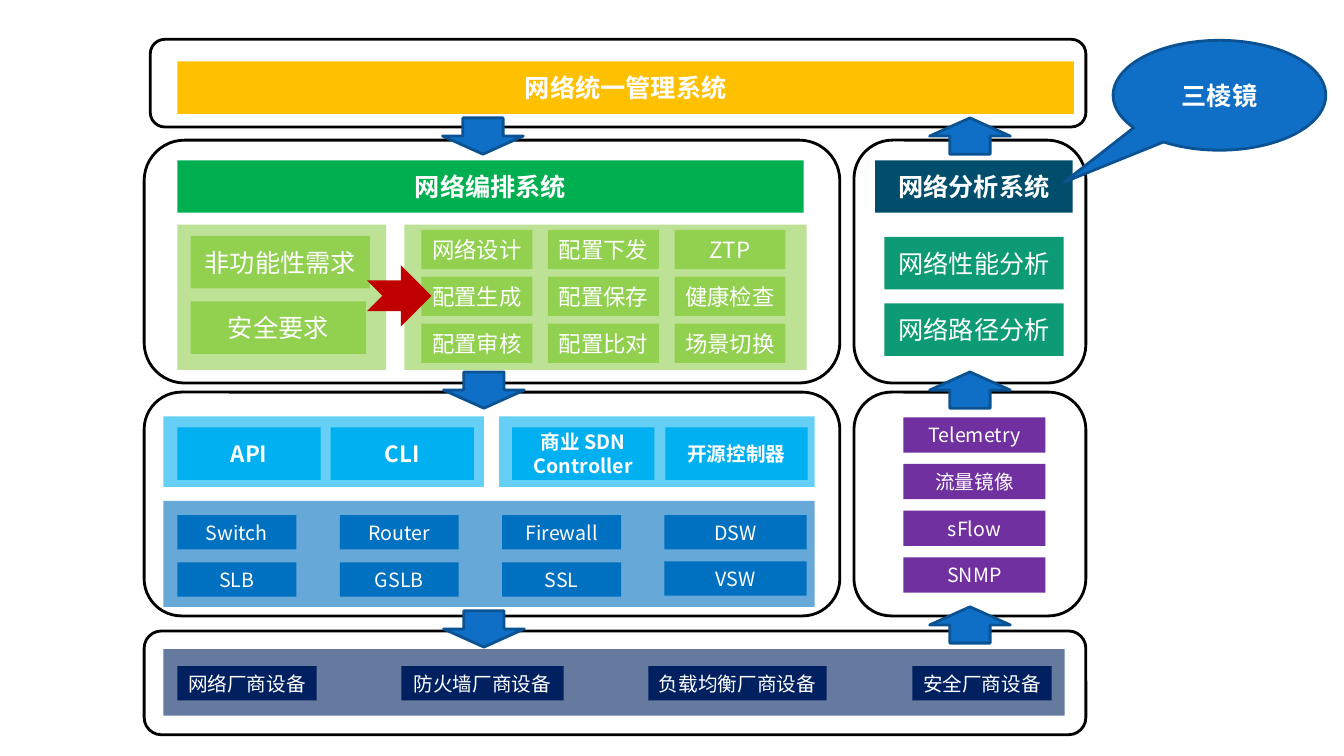
from lxml.etree import SubElement
from pptx import Presentation
from pptx.dml.color import RGBColor
from pptx.enum.shapes import MSO_SHAPE as Preset
from pptx.enum.text import MSO_ANCHOR as Anchor, PP_ALIGN as Align
from pptx.oxml.ns import qn
from pptx.util import Inches, Pt

SLIDE_SIZE = (13.33, 7.5)
UNIT = 0.1  # inches in one grid column or row
FONT = "Noto Sans CJK SC"
WHITE, BLACK = "FFFFFF", "000000"
BLUE, DARK_BLUE = "0F6FC6", "0B5292"

# Every place is (left, top, width, height) in grid units.
PANELS = [
    ((17.6, 22.3, 20.7, 14.4), "92D050"),
    ((40.1, 22.3, 39.9, 14.4), "92D050"),
    ((16.2, 41.3, 31.8, 7), "00B0F0"),
    ((49.5, 41.3, 31.3, 7), "00B0F0"),
    ((16.2, 49.7, 64.6, 10.5), "0070C0"),
    ((16.2, 64.4, 89.4, 6.6), "002060"),
]
FRAMES = [
    (14.9, 3.9, 92.8, 8.7),
    (14.3, 13.9, 69, 24.1),
    (84.7, 13.9, 23, 24.1),
    (14.3, 38.9, 69, 22.2),
    (84.7, 38.9, 23, 22.2),
    (14.3, 62.6, 93.4, 10.3),
]
HEADERS = [
    ("网络统一管理系统", (17.6, 6.1, 88.9, 5.2), "FFC000"),
    ("网络编排系统", (17.6, 15.9, 62.1, 5.2), "00B050"),
    ("网络分析系统", (86.8, 15.9, 19.6, 5.2), "004E6C"),
]
REQUIREMENTS = [
    ("非功能性需求", (18.9, 23.4, 17.8, 5.2)),
    ("安全要求", (18.9, 29.9, 17.4, 5.2)),
]
VENDOR_DEVICES = [
    ("网络厂商设备", 17.6, 13.8),
    ("防火墙厂商设备", 39.8, 16.1),
    ("负载均衡厂商设备", 64.3, 17.7),
    ("安全厂商设备", 90.5, 13.8),
]
# Rows of labels, place of the first cell, (column step, row step), fill, text size, bold
GRIDS = [
    ([["网络设计", "配置下发", "ZTP"],
      ["配置生成", "配置保存", "健康检查"],
      ["配置审核", "配置比对", "场景切换"]],
     (41.8, 22.8, 11, 3.9), (12.55, 4.65), "92D050", 16, False),
    ([["网络性能分析"], ["网络路径分析"]],
     (87.7, 23.5, 17.8, 5.2), (0, 6.6), "0C9B74", 18, False),
    ([["API", "CLI"]],
     (17.6, 42.4, 14.2, 5.2), (15.2, 0), "00B0F0", 16, True),
    ([["商业 SDN Controller", "开源控制器"]],
     (50.8, 42.4, 14.1, 5.2), (15.2, 0), "00B0F0", 14, True),
    ([["Switch", "Router", "Firewall"], ["SLB", "GSLB", "SSL"]],
     (17.6, 51.1, 11.8, 3.4), (16.1, 4.7), "0070C0", 14, False),
    ([["DSW"], ["VSW"]],
     (65.9, 51.1, 14.1, 3.4), (0, 4.6), "0070C0", 14, False),
    ([["Telemetry"], ["流量镜像"], ["sFlow"], ["SNMP"]],
     (89.6, 41.4, 14.1, 3.5), (0, 4.63), "7030A0", 14, False),
]
# Left, top, rotation
FLOW_ARROWS = [
    (43.9, 11.7, 0), (44, 36.9, 0), (44, 60.6, 0),
    (92.2, 11.7, 180), (92.2, 36.9, 180), (92.2, 60.2, 180),
]


def colour(hex_code):
    return RGBColor.from_string(hex_code)


def add_preset(slide, preset, place, fill=None, line=None):
    shape = slide.shapes.add_shape(preset, *(Inches(n * UNIT) for n in place))
    shape.shadow.inherit = False
    if fill:
        shape.fill.solid()
        shape.fill.fore_color.rgb = colour(fill)
    else:
        shape.fill.background()
    if line:
        shape.line.color.rgb = colour(line)
        shape.line.width = Pt(2)
    else:
        shape.line.fill.background()
    return shape


def add_label(shape, text, size, bold):
    frame = shape.text_frame
    frame_format = {
        "word_wrap": True, "vertical_anchor": Anchor.MIDDLE,
        "margin_left": Inches(0.05), "margin_right": Inches(0.05),
    }
    for name, value in frame_format.items():
        setattr(frame, name, value)
    paragraph = frame.paragraphs[0]
    paragraph.alignment = Align.CENTER
    run = paragraph.add_run()
    run.text = text
    for name, value in {"name": FONT, "size": Pt(size), "bold": bold}.items():
        setattr(run.font, name, value)
    run.font.color.rgb = colour(WHITE)
    SubElement(run.font._element, qn("a:ea"), typeface=FONT)


def add_block(slide, text, place, fill, size, bold=False):
    add_label(add_preset(slide, Preset.RECTANGLE, place, fill), text, size, bold)


def add_block_grid(slide, rows, first, step, fill, size, bold):
    left, top, width, height = first
    for row, labels in enumerate(rows):
        for column, text in enumerate(labels):
            place = (left + column * step[0], top + row * step[1], width, height)
            add_block(slide, text, place, fill, size, bold)


def add_panel(slide, place, fill):
    """Add a borderless backing rectangle at 60 % opacity."""
    panel = add_preset(slide, Preset.RECTANGLE, place, fill)
    tint = panel._element.spPr.find(f"{qn('a:solidFill')}/{qn('a:srgbClr')}")
    SubElement(tint, qn("a:alpha"), val="60000")


def add_flow_arrow(slide, left, top, rotation):
    arrow = add_preset(slide, Preset.DOWN_ARROW, (left, top, 8, 3.6), BLUE, DARK_BLUE)
    arrow.rotation = rotation


def add_callout(slide, text, place, tip):
    callout = add_preset(slide, Preset.OVAL_CALLOUT, place, BLUE, DARK_BLUE)
    for index, share in enumerate(tip):
        callout.adjustments[index] = share
    add_label(callout, text, 18, True)


def main():
    deck = Presentation()
    deck.slide_width, deck.slide_height = (Inches(n) for n in SLIDE_SIZE)
    slide = deck.slides.add_slide(deck.slide_layouts[6])

    for place, fill in PANELS:
        add_panel(slide, place, fill)
    for place in FRAMES:
        add_preset(slide, Preset.ROUNDED_RECTANGLE, place, line=BLACK)
    for text, place, fill in HEADERS:
        add_block(slide, text, place, fill, 18, True)
    for text, place in REQUIREMENTS:
        add_block(slide, text, place, "92D050", 18)
    for grid in GRIDS:
        add_block_grid(slide, *grid)
    for text, left, width in VENDOR_DEVICES:
        add_block(slide, text, (left, 66.1, width, 3.4), "002060", 14)
    for arrow in FLOW_ARROWS:
        add_flow_arrow(slide, *arrow)
    add_preset(slide, Preset.NOTCHED_RIGHT_ARROW, (36.4, 26.3, 6.4, 6.1), "C00000")
    add_callout(slide, "三棱镜", (110.4, 4, 21.1, 10.9), (-0.73, 0.79))

    deck.save("out.pptx")


if __name__ == "__main__":
    main()
